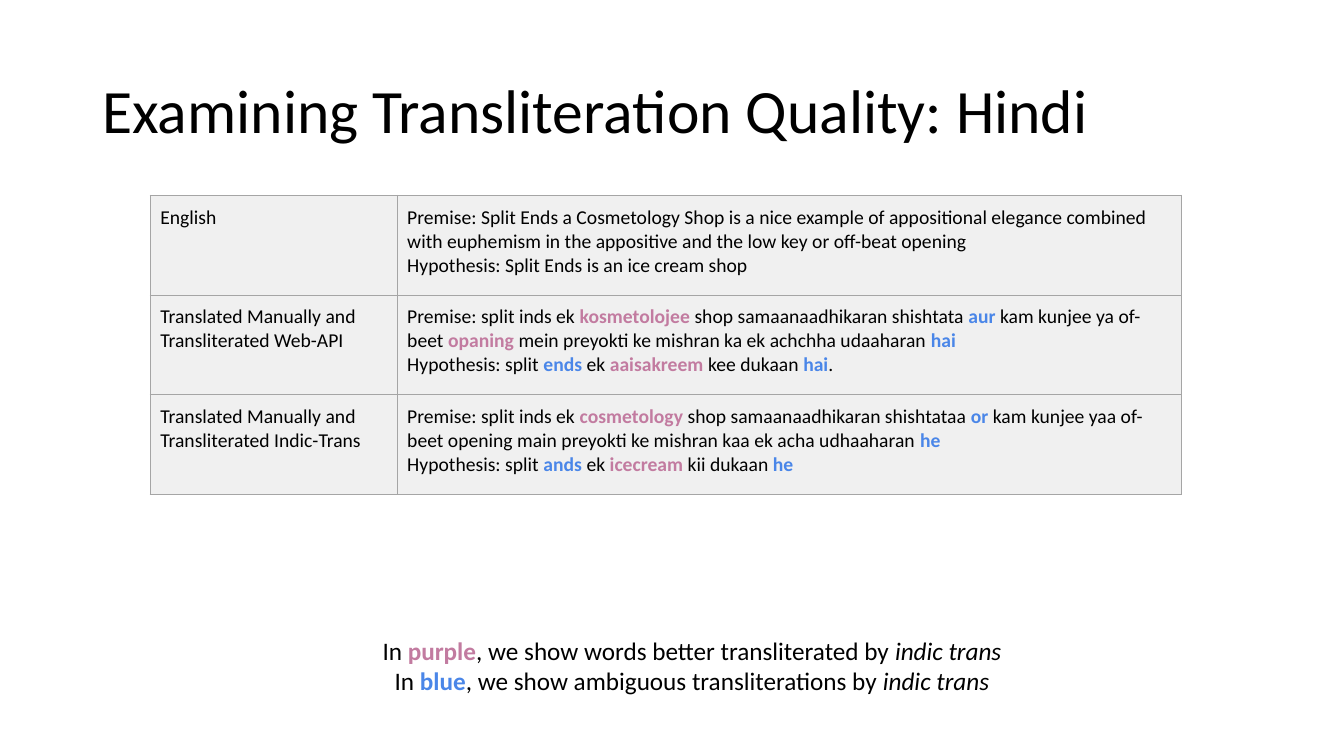
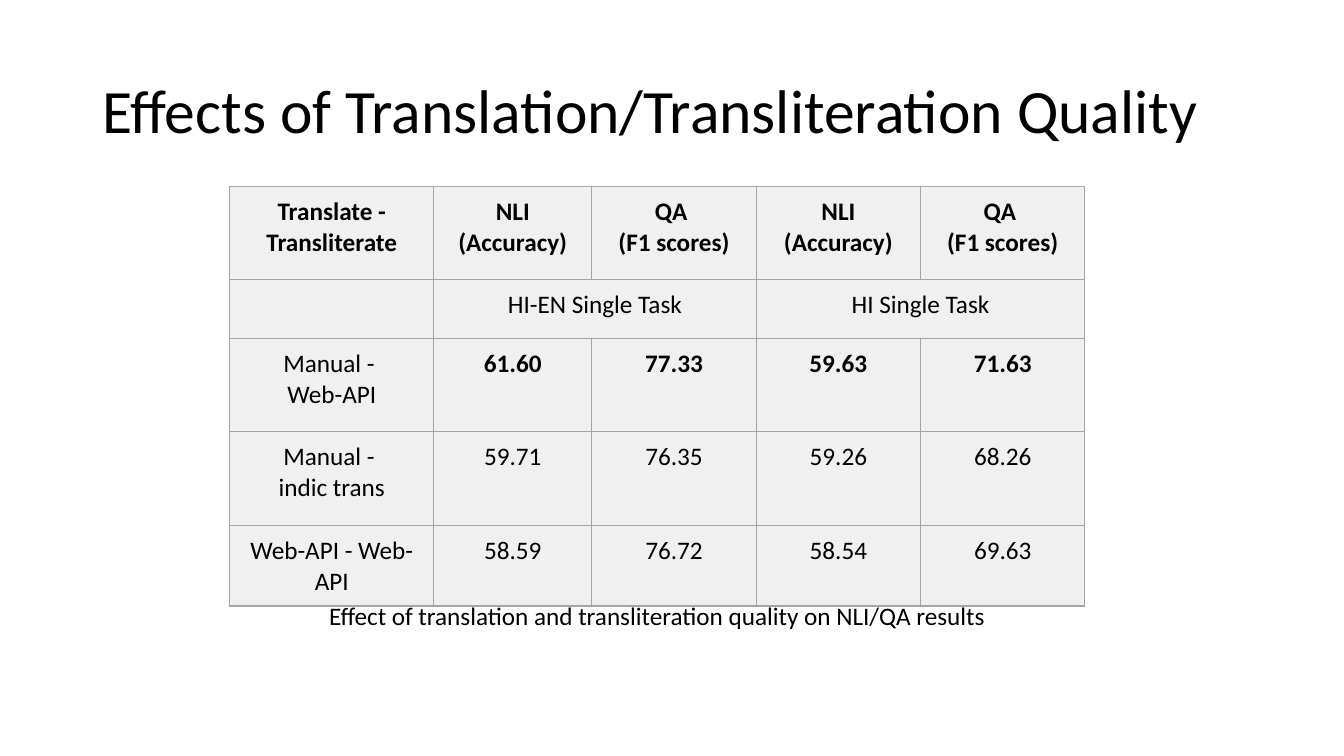
from dataclasses import dataclass, field
from functools import partial
from typing import Any, NamedTuple, Union

from lxml.etree import SubElement
from pptx import Presentation
from pptx.dml.color import RGBColor as Rgb
from pptx.enum.text import MSO_ANCHOR as Anchor
from pptx.enum.text import MSO_AUTO_SIZE as Fit
from pptx.enum.text import PP_ALIGN as Align
from pptx.oxml.ns import qn
from pptx.util import Pt


@dataclass(frozen=True)
class Theme:
    """Colours, type sizes and measures shared by the slides."""
    font: str = "Calibri"
    ink: str = "000000"
    purple: str = "C27BA0"
    blue: str = "4A86E8"
    cell: str = "F0F0F0"
    rule: str = "A5A5A5"
    title: float = 44
    body: float = 18
    small: float = 14
    inset: float = 7.2
    edge: float = 1


THEME = Theme()


@dataclass(frozen=True)
class Run:
    """A piece of text with its own look."""
    text: str
    color: str = THEME.ink
    bold: bool = False
    italic: bool = False


Line = list[Union[Run, str]]
Text = list[Line]
Bold = partial(Run, bold=True)
Slant = partial(Run, italic=True)
Purple = partial(Bold, color=THEME.purple)
Blue = partial(Bold, color=THEME.blue)
BREAK = "\n"


class Area(NamedTuple):
    """A place on the slide, in points."""
    left: float
    top: float
    width: float
    height: float


@dataclass(frozen=True)
class Label:
    """A text box and its format."""
    area: Area
    text: Text
    size: float = THEME.body
    para: dict[str, Any] = field(default_factory=lambda: {"alignment": Align.CENTER})
    frame: dict[str, Any] = field(default_factory=lambda: {"auto_size": Fit.SHAPE_TO_FIT_TEXT})


@dataclass(frozen=True)
class Grid:
    """A table with its column widths, row heights and merged pairs."""
    left: float
    top: float
    cols: list[float]
    rows: list[float]
    cells: list[list[Text]]
    size: float = THEME.body
    align: Align = Align.CENTER
    pairs: tuple[tuple[int, int], ...] = ()


@dataclass(frozen=True)
class Page:
    """The content of one slide."""
    title: str
    grid: Grid
    note: Label


def style(item: Any, form: dict[str, Any]) -> None:
    """Set each attribute named in the format."""
    for name, value in form.items():
        setattr(item, name, value)


def write(frame: Any, text: Text, size: float, form: dict[str, Any]) -> None:
    """Fill a text frame, one paragraph for each line."""
    for num, line in enumerate(text):
        para = frame.add_paragraph() if num else frame.paragraphs[0]
        style(para, form)
        for part in line:
            if part == BREAK:
                para.add_line_break()
                continue
            piece = Run(part) if isinstance(part, str) else part
            run = para.add_run()
            run.text = piece.text
            style(run.font, {"name": THEME.font, "size": Pt(size),
                             "bold": piece.bold, "italic": piece.italic})
            run.font.color.rgb = Rgb.from_string(piece.color)


def label(slide: Any, item: Label) -> None:
    """Draw a text box."""
    frame = slide.shapes.add_textbox(*map(Pt, item.area)).text_frame
    style(frame, {"word_wrap": True, **item.frame})
    write(frame, item.text, item.size, item.para)


def border(cell: Any) -> None:
    """Rule all four sides of a cell."""
    props = cell._tc.get_or_add_tcPr()
    for num, side in enumerate(("lnL", "lnR", "lnT", "lnB")):
        line = props.makeelement(qn(f"a:{side}"), {"w": str(Pt(THEME.edge))})
        fill = SubElement(line, qn("a:solidFill"))
        SubElement(fill, qn("a:srgbClr"), val=THEME.rule)
        props.insert(num, line)


def table(slide: Any, grid: Grid) -> None:
    """Draw a table."""
    area = Area(grid.left, grid.top, sum(grid.cols), sum(grid.rows))
    tab = slide.shapes.add_table(len(grid.rows), len(grid.cols), *map(Pt, area)).table
    style(tab, {"first_row": False, "horz_banding": False})
    for col, width in zip(tab.columns, grid.cols):
        col.width = Pt(width)
    for row, height in zip(tab.rows, grid.rows):
        row.height = Pt(height)
    sides = ("left", "right", "top", "bottom")
    inset = {f"margin_{side}": Pt(THEME.inset) for side in sides}
    for row, texts in zip(tab.rows, grid.cells):
        for cell, text in zip(row.cells, texts):
            style(cell, inset)
            cell.fill.solid()
            cell.fill.fore_color.rgb = Rgb.from_string(THEME.cell)
            border(cell)
            write(cell.text_frame, text, grid.size, {"alignment": grid.align})
    for row, col in grid.pairs:
        tab.cell(row, col).merge(tab.cell(row, col + 1))


def heading(text: str) -> Label:
    """Give the title its shared place and look."""
    return Label(Area(66, 28.8, 828, 104.4), [[text]], THEME.title,
                 {"line_spacing": 0.9}, {"vertical_anchor": Anchor.MIDDLE})


def scores(name: Text, values: str, kind: Any = Run) -> list[Text]:
    """Make a table row from a name and its four scores."""
    return [name] + [[[kind(value)]] for value in values.split()]


HINDI = [
    [[["English"]],
     [["Premise: Split Ends a Cosmetology Shop is a nice example of appositional elegance "
       "combined with euphemism in the appositive and the low key or off-beat opening"],
      ["Hypothesis: Split Ends is an ice cream shop"]]],
    [[["Translated Manually and Transliterated Web-API"]],
     [["Premise: split inds ek ", Purple("kosmetolojee"),
       " shop samaanaadhikaran shishtata ", Blue("aur "), "kam kunjee ya of-beet ",
       Purple("opaning "), "mein preyokti ke mishran ka ek achchha udaaharan ", Blue("hai")],
      ["Hypothesis: split ", Blue("ends "), "ek ", Purple("aaisakreem "),
       "kee dukaan ", Blue("hai"), "."]]],
    [[["Translated Manually and Transliterated Indic-Trans"]],
     [["Premise: split inds ek ", Purple("cosmetology"),
       " shop samaanaadhikaran shishtataa ", Blue("or "),
       "kam kunjee yaa of-beet opening main preyokti ke mishran kaa ek acha udhaaharan ",
       Blue("he")],
      ["Hypothesis: split ", Blue("ands "), "ek ", Purple("icecream "),
       "kii dukaan ", Blue("he")]]],
]

TASKS = [[[Bold("NLI (Accuracy)")]], [[Bold("QA "), BREAK, Bold("(F1 scores)")]]]
EFFECTS = [
    [[[Bold("Translate - Transliterate")]], *TASKS * 2],
    [[], [["HI-EN Single Task"]], [], [["HI Single Task"]], []],
    scores([["Manual - "], ["Web-API"]], "61.60 77.33 59.63 71.63", Bold),
    scores([["Manual - "], ["indic trans"]], "59.71 76.35 59.26 68.26"),
    scores([["Web-API - Web-API"]], "58.59 76.72 58.54 69.63"),
]

PAGES = [
    Page("Examining Transliteration Quality: Hindi",
         Grid(107.3, 139.7, [176.4, 560.2], [71.2] * 3, HINDI, THEME.small, Align.LEFT),
         Label(Area(218.2, 450, 552.2, 51.1),
               [["In", Purple(" purple"), ", we show words better transliterated by ",
                 Slant("indic trans")],
                ["In ", Blue("blue"), ", we show ambiguous transliterations by ",
                 Slant("indic trans")]])),
    Page("Effects of Translation/Transliteration Quality",
         Grid(164.2, 133.2, [145.6, 113, *[117.4] * 3], [66.7, 41.9, 66.7, 66.7, 45.5],
              EFFECTS, pairs=((1, 1), (1, 3))),
         Label(Area(226.1, 425.5, 486.7, 36),
               [["Effect of translation and transliteration quality on NLI/QA results"]])),
]


def main() -> None:
    """Build and save the slides."""
    deck = Presentation()
    style(deck, {"slide_width": Pt(960), "slide_height": Pt(540)})
    for page in PAGES:
        slide = deck.slides.add_slide(deck.slide_layouts[6])
        label(slide, heading(page.title))
        table(slide, page.grid)
        label(slide, page.note)
    deck.save("out.pptx")


main()
